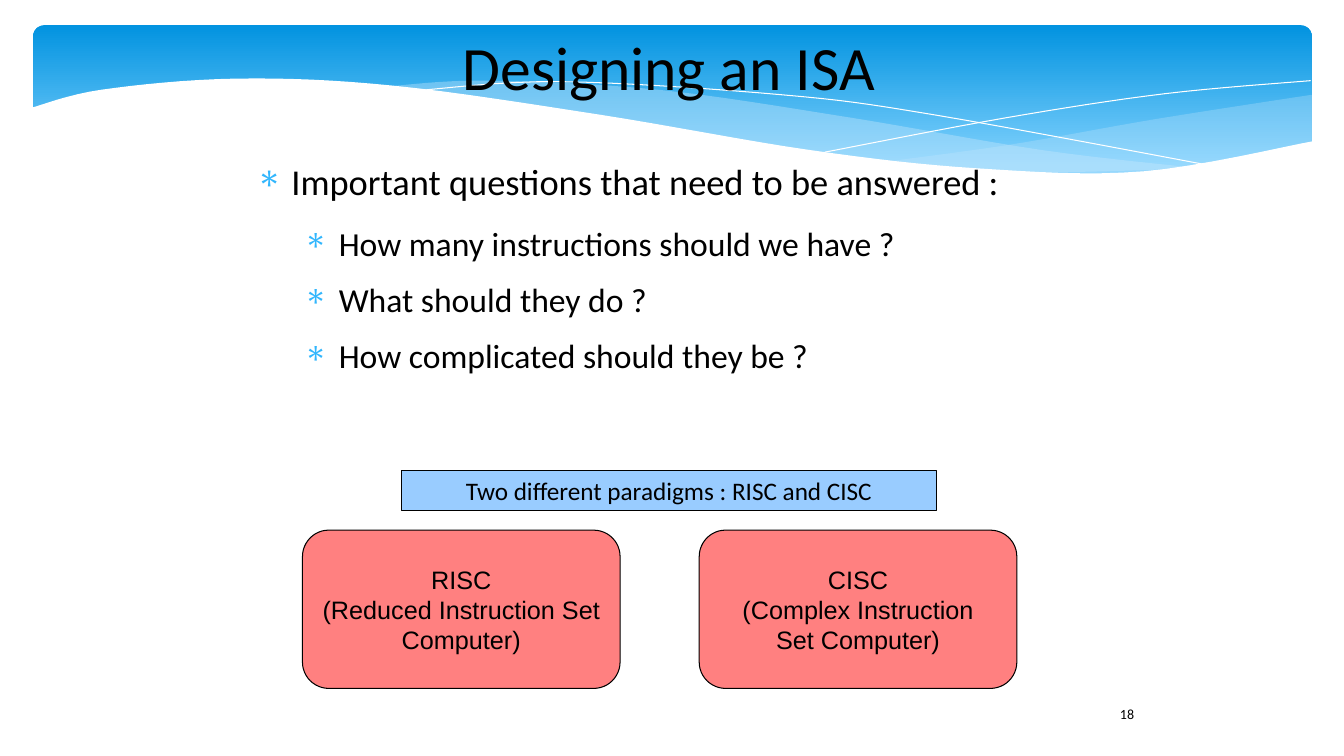
from lxml import etree
from pptx import Presentation
from pptx.dml.color import RGBColor as RGB
from pptx.enum.shapes import MSO_SHAPE as Kind
from pptx.enum.text import MSO_ANCHOR as Anchor, PP_ALIGN as Align
from pptx.oxml.ns import qn
from pptx.util import Pt

BLACK = RGB(0, 0, 0)
WHITE = RGB(0xFF, 0xFF, 0xFF)
DEEP = RGB(0x02, 0x93, 0xE0)
SKY = RGB(0x83, 0xD3, 0xFE)
MIST = RGB(0xC6, 0xE7, 0xFC)
BLUE = RGB(0x99, 0xCC, 0xFF)
PINK = RGB(0xFF, 0x80, 0x80)
STAR = RGB(0x31, 0xB6, 0xFD)

# The slide is a grid of 1333 columns by 750 rows.
CELL = 9144
COLS, ROWS = 1333, 750
STEPS = 8

TITLE = "Designing an ISA"
POINTS = [
    (0, "Important questions that need to be answered :"),
    (1, "How many instructions should we have ?"),
    (1, "What should they do ?"),
    (1, "How complicated should they be ?"),
]
LEVELS = [dict(size=26, after=14.1, left=47), dict(size=24, after=11.3, left=94)]
HANG = 35
BANNER = "Two different paradigms : RISC and CISC"
CARDS = [
    ["RISC", "(Reduced Instruction Set", "Computer)"],
    ["CISC", "(Complex Instruction", "Set Computer)"],
]
NUMBER = "18"

# Waves from back to front: fill, opacity in percent, knots of each edge.
WAVES = [
    (MIST, 29, [
        [(1301, 94), (1147, 118), (1005, 143), (882, 160)],
        [(882, 160), (1025, 171), (1163, 169), (1301, 142)]]),
    (MIST, 40, [
        [(1190, 167), (1034, 149), (839, 116), (652, 89), (482, 80), (382, 86)],
        [(382, 86), (599, 116), (802, 150), (998, 170), (1190, 167)]]),
    (None, 100, [
        [(412, 90), (555, 81), (775, 94), (927, 114), (1210, 166)]]),
    (None, 100, [[(818, 151), (997, 117), (1155, 93), (1300, 80)]]),
    (WHITE, 100, [
        [(31, 107), (101, 89), (235, 78), (390, 85), (596, 114), (804, 149),
         (969, 167), (1134, 170), (1303, 140)],
        [(1303, 224), (31, 224)]]),
]


def span(*cells):
    return [round(c * CELL) for c in cells]


def smooth(knots):
    """Return points of a Catmull-Rom curve through the knots."""
    ends = [knots[0], *knots, knots[-1]]
    dots = [knots[0]]
    for quad in zip(ends, ends[1:], ends[2:], ends[3:]):
        for step in range(1, STEPS + 1):
            t = step / STEPS
            dots.append(tuple(
                b + t * (c - a) / 2
                + t ** 2 * (2 * a - 5 * b + 4 * c - d) / 2
                + t ** 3 * (3 * b - a - 3 * c + d) / 2
                for a, b, c, d in zip(*quad)))
    return dots


def paint(shape, fill, line):
    shape.shadow.inherit = False
    if fill is None:
        shape.fill.background()
    else:
        shape.fill.solid()
        shape.fill.fore_color.rgb = fill
    if line is None:
        shape.line.fill.background()
    else:
        shape.line.color.rgb = line
        shape.line.width = Pt(0)


def write(frame, lines, look, size, face="Calibri", align=Align.LEFT):
    for name, value in look.items():
        setattr(frame, name, value)
    for i, text in enumerate(lines):
        para = frame.paragraphs[0] if i == 0 else frame.add_paragraph()
        para.text = text
        para.alignment = align
        font = para.runs[0].font
        for name, value in dict(size=Pt(size), name=face).items():
            setattr(font, name, value)
        font.color.rgb = BLACK


def bullet(para, left, after):
    """Give a paragraph its star, hanging indent and space after."""
    props = para._p.get_or_add_pPr()
    margin, hang = span(left, HANG)
    props.set("marL", str(margin))
    props.set("indent", str(-hang))
    color = etree.SubElement(props, qn("a:buClr"))
    etree.SubElement(color, qn("a:srgbClr"), val=str(STAR))
    etree.SubElement(props, qn("a:buFont"), typeface="Symbol")
    etree.SubElement(props, qn("a:buChar"), char="∗")
    para.space_after = Pt(after)


def wave(shapes, fill, alpha, edges):
    dots = [span(*dot) for edge in edges for dot in smooth(edge)]
    pen = shapes.build_freeform(*dots[0])
    pen.add_line_segments(dots[1:], close=fill is not None)
    shape = pen.convert_to_shape()
    paint(shape, fill, WHITE if fill is None else None)
    if alpha < 100:
        color = shape._element.spPr.find(".//" + qn("a:srgbClr"))
        etree.SubElement(color, qn("a:alpha"), val=str(alpha * 1000))


def header(shapes):
    sheet = shapes.add_shape(Kind.ROUNDED_RECTANGLE, *span(33, 25, 1268, 156))
    sheet.adjustments[0] = 0.07
    paint(sheet, None, None)
    sheet.fill.gradient()
    sheet.fill.gradient_angle = 270
    for stop, color, place in zip(sheet.fill.gradient_stops, (DEEP, SKY), (0, 0.9)):
        stop.color.rgb = color
        stop.position = place
    for item in WAVES:
        wave(shapes, *item)


def main():
    deck = Presentation()
    deck.slide_width, deck.slide_height = span(COLS, ROWS)
    slide = deck.slides.add_slide(deck.slide_layouts[5])
    shapes = slide.shapes
    header(shapes)

    sides = ("left", "right", "top", "bottom")
    flush = {f"margin_{side}": 0 for side in sides} | {"word_wrap": True}
    middle = dict(vertical_anchor=Anchor.MIDDLE)
    title = shapes.title
    title.left, title.top, title.width, title.height = span(258, 14, 811, 102)
    write(title.text_frame, [TITLE], flush | middle, 44, align=Align.CENTER)
    shapes._spTree.append(title._element)  # bring in front of the waves

    body = shapes.add_textbox(*span(242, 158, 791, 258)).text_frame
    write(body, [text for _, text in POINTS], flush, 24)
    for para, (level, _) in zip(body.paragraphs, POINTS):
        form = LEVELS[level]
        para.level = level
        bullet(para, form["left"], form["after"])
        para.runs[0].font.size = Pt(form["size"])

    label = middle | {"word_wrap": False}
    strip = shapes.add_shape(Kind.RECTANGLE, *span(398, 467, 531, 39))
    paint(strip, BLUE, BLACK)
    write(strip.text_frame, [BANNER], label, 18, align=Align.CENTER)

    wide, gap = 315, 78.5
    for i, lines in enumerate(CARDS):
        place = span(300 + i * (wide + gap), 526, wide, 157)
        card = shapes.add_shape(Kind.ROUNDED_RECTANGLE, *place)
        paint(card, PINK, BLACK)
        write(card.text_frame, lines, label, 18, "Arial", Align.CENTER)

    page = shapes.add_textbox(*span(1101, 695, 61, 40))
    write(page.text_frame, [NUMBER], dict(word_wrap=True), 10)
    deck.save("out.pptx")


if __name__ == "__main__":
    main()
